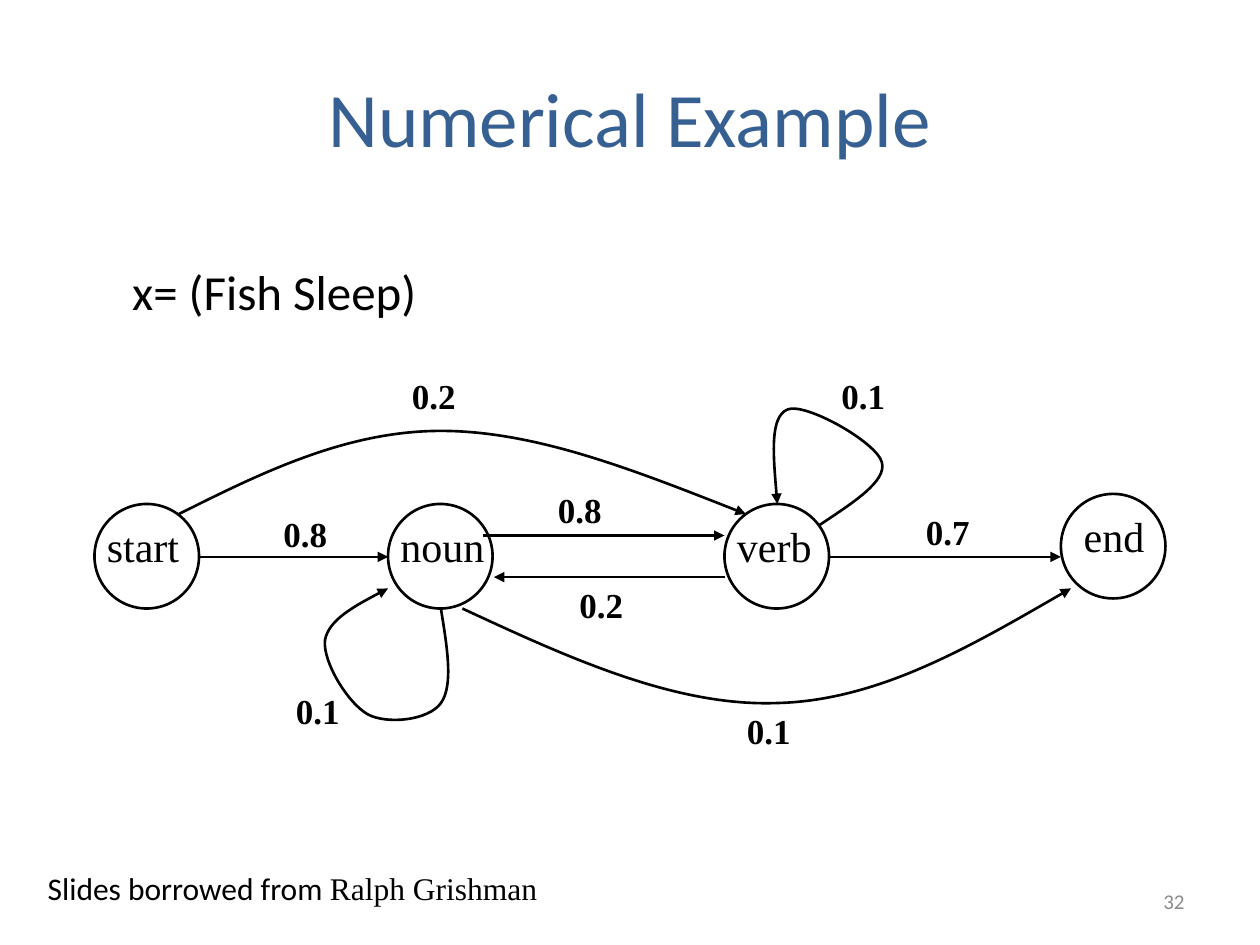
from lxml import etree
from pptx import Presentation
from pptx.dml.color import RGBColor
from pptx.enum.shapes import MSO_CONNECTOR, MSO_SHAPE
from pptx.enum.text import MSO_ANCHOR, MSO_AUTO_SIZE, PP_ALIGN
from pptx.oxml.ns import qn
from pptx.util import Inches, Pt

LINE, OVAL = MSO_CONNECTOR.STRAIGHT, MSO_SHAPE.OVAL
MIDDLE, GROW, FIXED = MSO_ANCHOR.MIDDLE, MSO_AUTO_SIZE.SHAPE_TO_FIT_TEXT, MSO_AUTO_SIZE.NONE
LEFT, CENTER, RIGHT = PP_ALIGN.LEFT, PP_ALIGN.CENTER, PP_ALIGN.RIGHT

BLACK = RGBColor(0x00, 0x00, 0x00)
BLUE = RGBColor(0x37, 0x60, 0x92)
GRAY = RGBColor(0x8C, 0x8C, 0x8C)
SANS, SERIF = "Calibri", "Times New Roman"
SIZE = 0.83

NODES = [
    ("start", 0, 1.08, 0.82),
    ("noun", 2.33, 1.08, 0.9),
    ("verb", 5, 1.08, 0.82),
    (" end", 7.67, 1, 0.8),
]
ARROWS = [
    (0.83, 1.5, 2.33, 1.5),
    (3.08, 1.33, 5, 1.33),
    (5, 1.66, 3.17, 1.66),
    (5.83, 1.5, 7.67, 1.5),
]
CURVES = [
    [(0.67, 1.16), (1.33, 0.83), (2, 0.5), (2.75, 0.5),
     (3.5, 0.5), (4.33, 0.83), (5.17, 1.16)],
    [(2.92, 1.91), (3.76, 2.3), (4.61, 2.69), (5.42, 2.66),
     (6.22, 2.64), (6.99, 2.19), (7.75, 1.75)],
    [(5.75, 1.25), (6.02, 1.07), (6.29, 0.9), (6.25, 0.75),
     (6.21, 0.59), (5.64, 0.27), (5.5, 0.33),
     (5.36, 0.39), (5.39, 0.73), (5.42, 1.08)],
    [(2.75, 1.91), (2.8, 2.22), (2.85, 2.52), (2.75, 2.66),
     (2.65, 2.8), (2.32, 2.83), (2.17, 2.75),
     (2.01, 2.66), (1.81, 2.33), (1.83, 2.16),
     (1.86, 2), (2.1, 1.87), (2.33, 1.75)],
]
LABELS = [
    ("0.8", 1.4, 1.1),
    ("0.2", 2.42, 0),
    ("0.8", 3.58, 0.91),
    ("0.7", 6.5, 1.08),
    ("0.1", 5.83, 0),
    ("0.2", 3.75, 1.66),
    ("0.1", 1.5, 2.5),
    ("0.1", 5.08, 2.66),
]


def write(frame, runs, size, color=BLACK, bold=False, align=LEFT):
    para = frame.paragraphs[0]
    para.alignment = align
    for text, face in runs:
        run = para.add_run()
        run.text = text
        font = run.font
        font.name, font.size, font.bold = face, Pt(size), bold
        font.color.rgb = color


def add_text(shapes, box, runs, size, **style):
    frame = shapes.add_textbox(*map(Inches, box)).text_frame
    frame.word_wrap = False
    frame.auto_size = GROW
    write(frame, runs, size, **style)
    return frame


def stroke(shape, arrow=False):
    shape.line.color.rgb = BLACK
    shape.line.width = Pt(1.5)
    if arrow:
        tip = etree.SubElement(shape.line._get_or_add_ln(), qn("a:tailEnd"))
        tip.set("type", "triangle")


def add_node(shapes, box, text, width):
    left, top = box[:2]
    oval = shapes.add_shape(OVAL, *map(Inches, box))
    oval.shadow.inherit = False
    oval.fill.background()
    stroke(oval)
    add_text(shapes, (left, top + 0.08, width, 0.5), [(text, SERIF)], 24)


def add_arrow(shapes, ends):
    line = shapes.add_connector(LINE, *map(Inches, ends))
    stroke(line, arrow=True)
    etree.SubElement(line._element.spPr, qn("a:effectLst"))


def add_curve(shapes, points):
    spots = [(Inches(x), Inches(y)) for x, y in points]
    maker = shapes.build_freeform(*spots[0], scale=1.0)
    maker.add_line_segments(spots[1:], close=False)
    shape = maker.convert_to_shape()
    steps = list(shape._element.iter(qn("a:lnTo")))
    for i in range(0, len(steps), 3):
        bend = etree.Element(qn("a:cubicBezTo"))
        steps[i].addprevious(bend)
        for step in steps[i:i + 3]:
            bend.append(step[0])
            step.getparent().remove(step)
    shape.shadow.inherit = False
    shape.fill.background()
    stroke(shape, arrow=True)


def add_graph(slide, box):
    left, top = box[:2]
    shapes = slide.shapes.add_group_shape().shapes
    for text, x, y, width in NODES:
        add_node(shapes, (left + x, top + y, SIZE, SIZE), text, width)
    for x1, y1, x2, y2 in ARROWS:
        add_arrow(shapes, (left + x1, top + y1, left + x2, top + y2))
    for points in CURVES:
        add_curve(shapes, [(left + x, top + y) for x, y in points])
    for text, x, y in LABELS:
        add_text(shapes, (left + x, top + y, 0.55, 0.43), [(text, SERIF)], 20, bold=True)


def add_title(slide, box):
    title = slide.shapes.title
    title.left, title.top, title.width, title.height = map(Inches, box)
    title.text_frame.vertical_anchor = MIDDLE
    write(title.text_frame, [("Numerical Example", SANS)], 44, color=BLUE, align=CENTER)


def add_footer(slide, box):
    left, top, width, high = box
    credit = [("Slides borrowed from ", SANS), ("Ralph Grishman", SERIF)]
    add_text(slide.shapes, (left, top, 4.22, high), credit, 18)
    spot = (left + width - 2.33, top + 0.1, 2.33, high)
    number = add_text(slide.shapes, spot, [("32", SANS)], 12, color=GRAY, align=RIGHT)
    number.word_wrap = True
    number.auto_size = FIXED
    number.vertical_anchor = MIDDLE


def main():
    deck = Presentation()
    deck.slide_width, deck.slide_height = Inches(10), Inches(7.5)
    slide = deck.slides.add_slide(deck.slide_layouts[5])
    add_title(slide, (0.5, 0.3, 9, 1.25))
    add_graph(slide, (0.75, 2.92, 8.5, 3.09))
    add_footer(slide, (0.28, 6.85, 9.22, 0.4))
    add_text(slide.shapes, (0.95, 2.03, 2.48, 0.57), [("x= (Fish Sleep)", SANS)], 28)
    deck.save("out.pptx")


if __name__ == "__main__":
    main()
